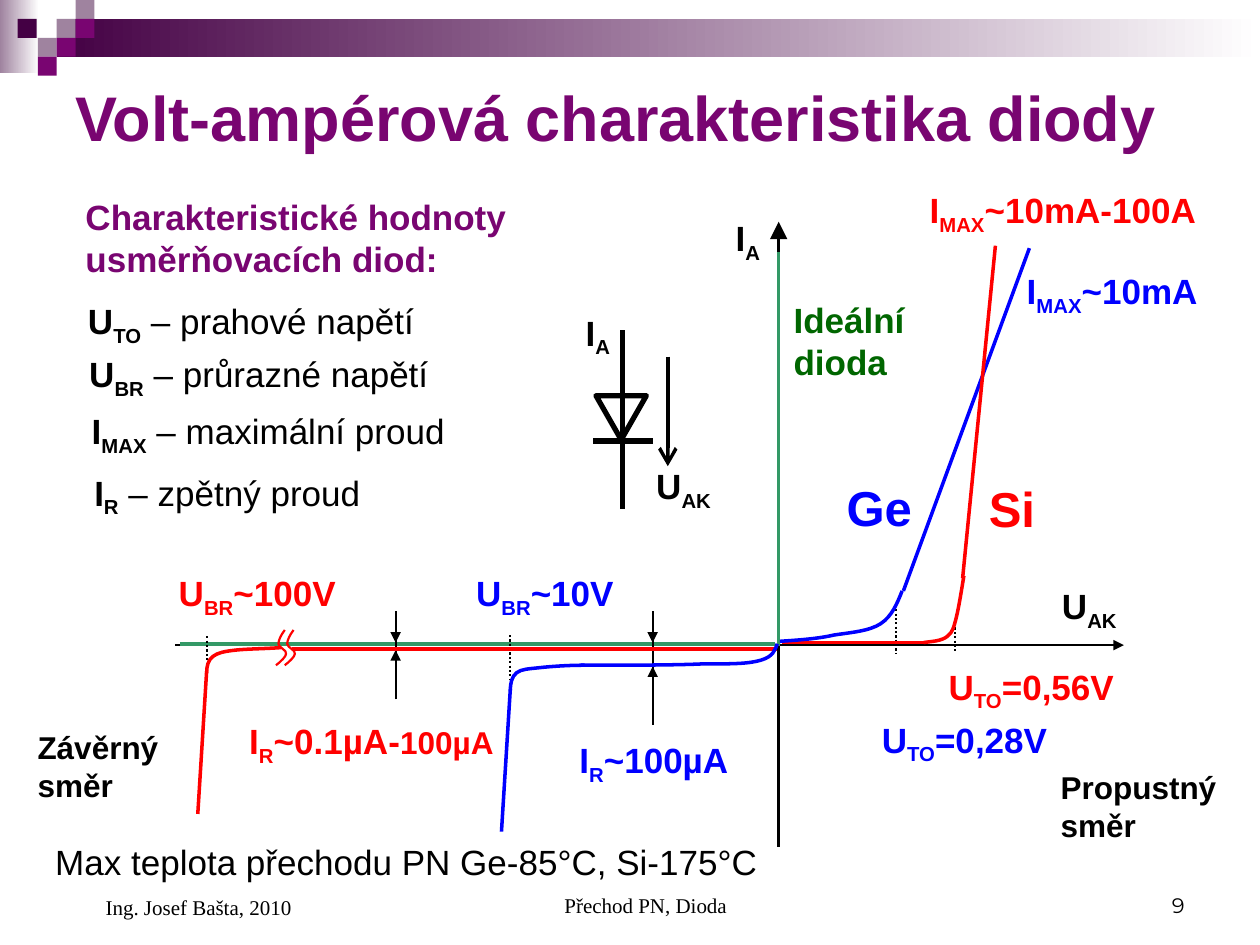
from dataclasses import dataclass

from lxml import etree
from pptx import Presentation
from pptx.dml.color import RGBColor
from pptx.enum.dml import MSO_LINE
from pptx.enum.shapes import MSO_CONNECTOR, MSO_SHAPE
from pptx.enum.text import MSO_ANCHOR, MSO_AUTO_SIZE, PP_ALIGN
from pptx.oxml.ns import qn
from pptx.util import Inches, Pt

RECTANGLE = MSO_SHAPE.RECTANGLE
TRIANGLE = MSO_SHAPE.ISOSCELES_TRIANGLE
STRAIGHT = MSO_CONNECTOR.STRAIGHT
DOTTED = MSO_LINE.ROUND_DOT
LEFT, CENTER, RIGHT = PP_ALIGN.LEFT, PP_ALIGN.CENTER, PP_ALIGN.RIGHT
TOP, MIDDLE, BOTTOM = MSO_ANCHOR.TOP, MSO_ANCHOR.MIDDLE, MSO_ANCHOR.BOTTOM
GROW, FIXED = MSO_AUTO_SIZE.SHAPE_TO_FIT_TEXT, MSO_AUTO_SIZE.NONE

WIDTH, HEIGHT = Inches(10), Inches(7.5)
COLUMNS, ROWS = 100, 75

BLACK, WHITE, RED, BLUE = "000000", "FFFFFF", "FF0000", "0000FF"
GREEN, DARK_GREEN = "339966", "006600"
PURPLE, DEEP_PURPLE, MAUVE = "790571", "440044", "9F839F"

Point = tuple[float, float]
Area = tuple[float, float, float, float]


@dataclass
class Span:
    text: str
    bold: bool = True
    size: float = 20
    sub: bool = False


@dataclass
class Stroke:
    start: Point
    end: Point
    color: str = BLACK
    width: float = 2
    tail: str = ""
    tail_size: str = "med"
    dotted: bool = False


@dataclass
class Curve:
    points: list[Point]
    color: str
    width: float = 2


@dataclass
class Label:
    area: Area
    spans: list[Span]
    color: str = BLACK


def col(count: float) -> int:
    return round(WIDTH * count / COLUMNS)


def row(count: float) -> int:
    return round(HEIGHT * count / ROWS)


def place(area: Area) -> tuple[int, int, int, int]:
    left, top, width, height = area
    return col(left), row(top), col(width), row(height)


def rgb(value: str) -> RGBColor:
    return RGBColor.from_string(value)


def symbol(letter: str, index: str, rest: str = "", rest_bold: bool = True) -> list[Span]:
    spans = [Span(letter), Span(index, sub=True)]
    return spans + [Span(rest, bold=rest_bold)] if rest else spans


def write_text(box, spans: list[Span], color: str = BLACK, font: str = "Arial",
               align=LEFT, anchor=TOP, fit=GROW, indent: float = 0) -> None:
    frame = box.text_frame
    frame.word_wrap = True
    frame.auto_size = fit
    frame.vertical_anchor = anchor
    para = frame.paragraphs[0]
    para.alignment = align
    if indent:
        para._p.get_or_add_pPr().set("marL", str(col(indent)))
    for item in spans:
        span = para.add_run()
        span.text = item.text
        span.font.name = font
        span.font.size = Pt(item.size)
        span.font.bold = item.bold
        span.font.color.rgb = rgb(color)
        if item.sub:
            span._r.get_or_add_rPr().set("baseline", "-25000")


def add_text(page, area: Area, spans: list[Span], **format_options) -> None:
    write_text(page.shapes.add_textbox(*place(area)), spans, **format_options)


def add_block(page, area: Area, color: str, fade: bool = False) -> None:
    block = page.shapes.add_shape(RECTANGLE, *place(area))
    block.shadow.inherit = False
    block.line.fill.background()
    if fade:
        block.fill.gradient()
        block.fill.gradient_angle = 180
        for stop, position, shade in zip(block.fill.gradient_stops, (0, 1), (WHITE, color)):
            stop.position = position
            stop.color.rgb = rgb(shade)
    else:
        block.fill.solid()
        block.fill.fore_color.rgb = rgb(color)


def add_stroke(page, stroke: Stroke) -> None:
    (x1, y1), (x2, y2) = stroke.start, stroke.end
    line = page.shapes.add_connector(STRAIGHT, col(x1), row(y1), col(x2), row(y2))
    line.line.color.rgb = rgb(stroke.color)
    line.line.width = Pt(stroke.width)
    if stroke.dotted:
        line.line.dash_style = DOTTED
    properties = line._element.spPr
    if stroke.tail:
        etree.SubElement(properties.find(qn("a:ln")), qn("a:tailEnd"), type=stroke.tail,
                         w=stroke.tail_size, len=stroke.tail_size)
    etree.SubElement(properties, qn("a:effectLst"))


def add_curve(page, curve: Curve) -> None:
    knots = [(col(x), row(y)) for x, y in curve.points]
    builder = page.shapes.build_freeform(*knots[0])
    builder.add_line_segments(knots[1:], close=False)
    outline = builder.convert_to_shape()
    segments = list(outline._element.iter(qn("a:lnTo")))
    for first in range(0, len(segments), 3):
        bend = etree.Element(qn("a:cubicBezTo"))
        segments[first].addprevious(bend)
        for segment in segments[first:first + 3]:
            bend.append(segment[0])
            segment.getparent().remove(segment)
    outline.shadow.inherit = False
    outline.fill.background()
    outline.line.color.rgb = rgb(curve.color)
    outline.line.width = Pt(curve.width)


def current_arrows(x: float, lower_start: float, lower_tip: float, link: Point) -> list[Stroke]:
    return [Stroke((x, 48.5), (x, 51), width=1.25, tail="triangle"),
            Stroke((x, lower_start), (x, lower_tip), width=1.25, tail="triangle"),
            Stroke((x, link[0]), (x, link[1]), width=1.25)]


def threshold(x: float, top: float, bottom: float) -> Stroke:
    return Stroke((x, top), (x, bottom), width=1.25, dotted=True)


BANDS = [((0, 0, 3.1, 5.8), MAUVE), ((4.5, 1.5, 95.5, 3), DEEP_PURPLE)]
TILES = [(4.5, 1.5, MAUVE), (6, 0, MAUVE), (6, 1.5, PURPLE), (3, 3, MAUVE),
         (1.4, 1.5, DEEP_PURPLE), (4.5, 3, PURPLE), (3, 4.5, PURPLE)]

STROKES = [
    Stroke((13.9, 51.2), (89.2, 51.2), width=1.5, tail="triangle"),
    Stroke((61.8, 67.2), (61.8, 17.6), width=1.5, tail="triangle", tail_size="lg"),
    Stroke((14.3, 51.1), (61.5, 51.1), GREEN),
    Stroke((61.8, 20), (61.8, 51.3), GREEN),
    Stroke((71.7, 46.9), (81.7, 19.7), BLUE),
    Stroke((39.8, 66), (40.5, 54.7), BLUE),
    threshold(75.8, 49.8, 51.8),
    threshold(71.1, 48, 51.9),
    threshold(40.5, 50.4, 54),
    threshold(16.4, 50.5, 52.5),
    *current_arrows(51.8, 57.5, 52.9, (53.6, 50.3)),
    *current_arrows(31.4, 55.5, 51.6, (52.2, 50.8)),
    Stroke((79, 19.5), (76.4, 45.9), RED),
    Stroke((62.1, 51), (73.4, 51), RED),
    Stroke((15.7, 64.6), (16.4, 53.3), RED),
    Stroke((61.7, 51.5), (23.2, 51.5), RED),
    Stroke((49.4, 26.2), (49.4, 40.4), width=3),
    Stroke((51.8, 35), (47.1, 35), width=3),
    Stroke((53, 28.3), (53, 37), tail="arrow", tail_size="lg"),
]

BREAK_MARK = [(23.3, 50), (23, 50.4), (22.8, 50.8), (22.8, 51.1), (22.8, 51.4),
              (23.5, 51.6), (23.4, 51.9), (23.4, 52.1), (23, 52.5), (22.6, 52.8)]
CURVES = [
    Curve([(71.6, 46.9), (71.2, 47.9), (70.8, 48.9), (69.9, 49.5), (69, 50.1),
           (67.5, 50.2), (66.2, 50.4), (64.9, 50.7), (63.4, 50.8), (61.9, 50.9)], BLUE),
    Curve([(46.4, 52.8), (45, 52.8), (43.7, 52.9), (42.8, 53), (41.9, 53.1),
           (41.4, 53.1), (41, 53.4), (40.6, 53.7), (40.5, 54.3), (40.5, 54.8)], BLUE),
    Curve([(46.1, 52.8), (49.7, 52.8), (53.4, 52.8), (55.7, 52.7), (58.1, 52.7),
           (59.4, 52.7), (60.4, 52.4), (61.4, 52.1), (61.5, 51.6), (61.7, 51.1)], BLUE),
    Curve([(76.5, 45.7), (76.3, 46.9), (76.1, 48.2), (75.9, 49), (75.7, 49.8),
           (75.6, 50.2), (75.2, 50.5), (74.7, 50.9), (74, 50.9), (73.3, 51)], RED),
    Curve([(22.3, 51.4), (20.9, 51.5), (19.6, 51.5), (18.7, 51.6), (17.8, 51.7),
           (17.3, 51.8), (16.9, 52.1), (16.5, 52.4), (16.4, 52.9), (16.4, 53.4)], RED),
    *[Curve([(x - shift, y) for x, y in BREAK_MARK], RED, 1.25) for shift in (0, 0.7)],
]

LABELS = [
    Label((83.3, 45.9, 8, 4.8), symbol("U", "AK")),
    Label((57.4, 16.7, 5, 4.8), symbol("I", "A")),
    Label((74.3, 52.3, 16.5, 4.8), symbol("U", "TO", "=0,56V"), RED),
    Label((69, 56.5, 16.5, 4.8), symbol("U", "TO", "=0,28V"), BLUE),
    Label((36.8, 44.9, 16, 4.8), symbol("U", "BR", "~10V"), BLUE),
    Label((13.2, 44.9, 16, 4.8), symbol("U", "BR", "~100V"), RED),
    Label((45, 58.1, 16.5, 4.8), symbol("I", "R", "~100µA"), BLUE),
    Label((18.8, 56.6, 22, 4.8), symbol("I", "R", "~0.1µA-") + [Span("100µA", size=18)], RED),
    Label((80.5, 20.9, 17.2, 4.8), symbol("I", "MAX", "~10mA"), BLUE),
    Label((72.8, 14.5, 24.2, 4.8), symbol("I", "MAX", "~10mA-100A"), RED),
    Label((6, 23.3, 33.7, 4.8), symbol("U", "TO", " – prahové napětí", False)),
    Label((6.1, 27.5, 33.7, 4.8), symbol("U", "BR", " – průrazné napětí", False)),
    Label((5.8, 15, 42.5, 7.7), [Span("Charakteristické hodnoty usměrňovacích diod:")], PURPLE),
    Label((6.3, 32, 33.7, 4.8), symbol("I", "MAX", " – maximální proud", False)),
    Label((6.5, 36.9, 33.7, 4.8), symbol("I", "R", " – zpětný proud", False)),
    Label((77.5, 37.5, 9.1, 5.7), [Span("Si", size=28)], RED),
    Label((66.2, 37.4, 9.1, 5.7), [Span("Ge", size=28)], BLUE),
    Label((62, 23.2, 10.8, 7.7), [Span("Ideální dioda")], DARK_GREEN),
    Label((45.5, 24.2, 4.3, 4.8), symbol("I", "A")),
    Label((51.1, 36.4, 7.2, 4.8), symbol("U", "AK")),
    Label((3.4, 66.2, 60, 4.4), [Span("Max teplota přechodu PN Ge-85°C, Si-175°C", bold=False)]),
    Label((2, 57.3, 12, 7), [Span("Závěrný směr", size=18)]),
    Label((83.2, 60.5, 14.7, 7), [Span("Propustný směr", size=18)]),
]

FOOTERS = [((34.2, 68.3, 31.7, 5), "Přechod PN, Dioda", "Times New Roman", CENTER, 2.4),
           ((71.7, 68.3, 23.3, 5), "9", "Montserrat", RIGHT, 0),
           ((5, 68.3, 23.3, 5.2), "Ing. Josef Bašta, 2010", "Times New Roman", LEFT, 2.4)]


def main() -> None:
    deck = Presentation()
    deck.slide_width, deck.slide_height = WIDTH, HEIGHT
    page = deck.slides.add_slide(deck.slide_layouts[5])
    for area, color in BANDS:
        add_block(page, area, color, fade=True)
    for left, top, color in TILES:
        add_block(page, (left, top, 1.5, 1.5), color)
    title = page.shapes.title
    title.left, title.top, title.width, title.height = place((5, 5, 90.5, 8.5))
    write_text(title, [Span("Volt-ampérová charakteristika diody", size=36)],
               color=PURPLE, anchor=MIDDLE, fit=FIXED)
    for stroke in STROKES:
        add_stroke(page, stroke)
    for curve in CURVES:
        add_curve(page, curve)
    diode = page.shapes.add_shape(TRIANGLE, *place((47.3, 31.4, 4, 3.5)))
    diode.rotation = 180
    diode.shadow.inherit = False
    diode.fill.background()
    diode.line.color.rgb = rgb(BLACK)
    diode.line.width = Pt(3)
    for label in LABELS:
        add_text(page, label.area, label.spans, color=label.color)
    for area, text, font, align, indent in FOOTERS:
        add_text(page, area, [Span(text, bold=False, size=12)], font=font,
                 align=align, anchor=BOTTOM, fit=FIXED, indent=indent)
    deck.save("out.pptx")


if __name__ == "__main__":
    main()
